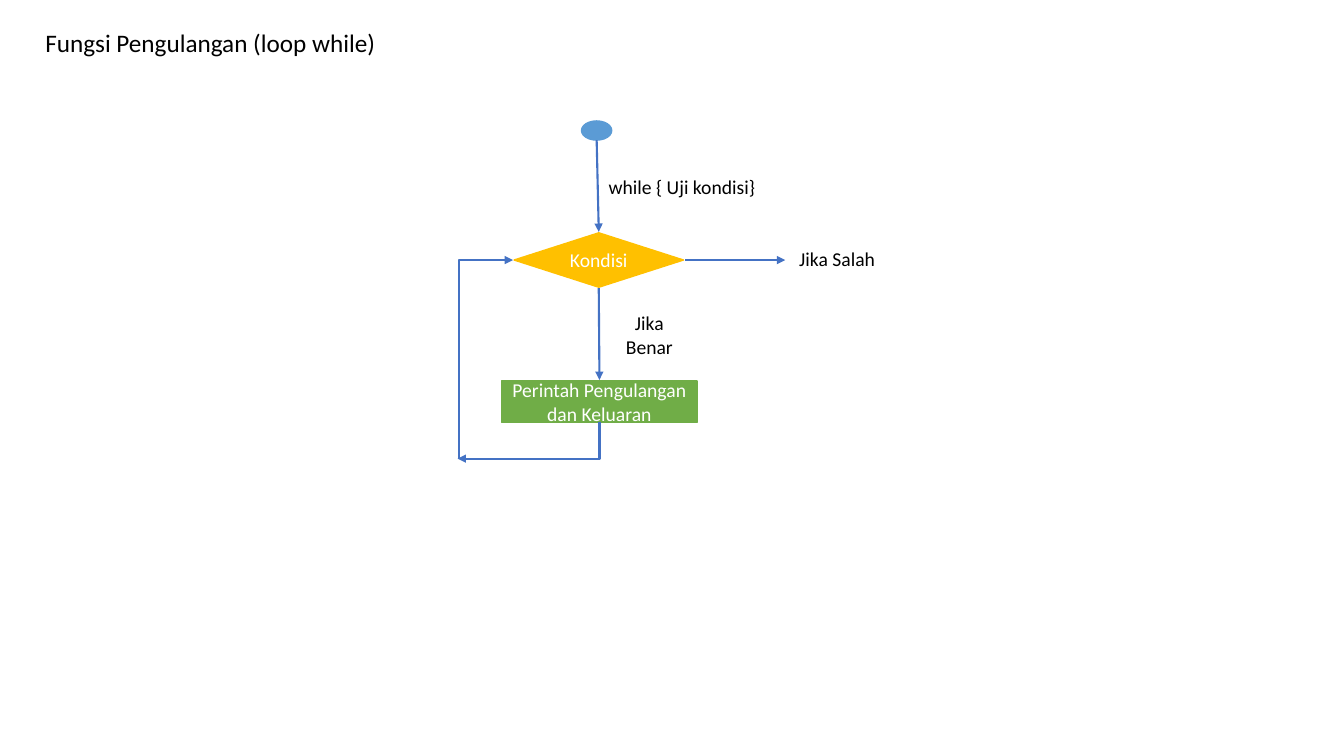
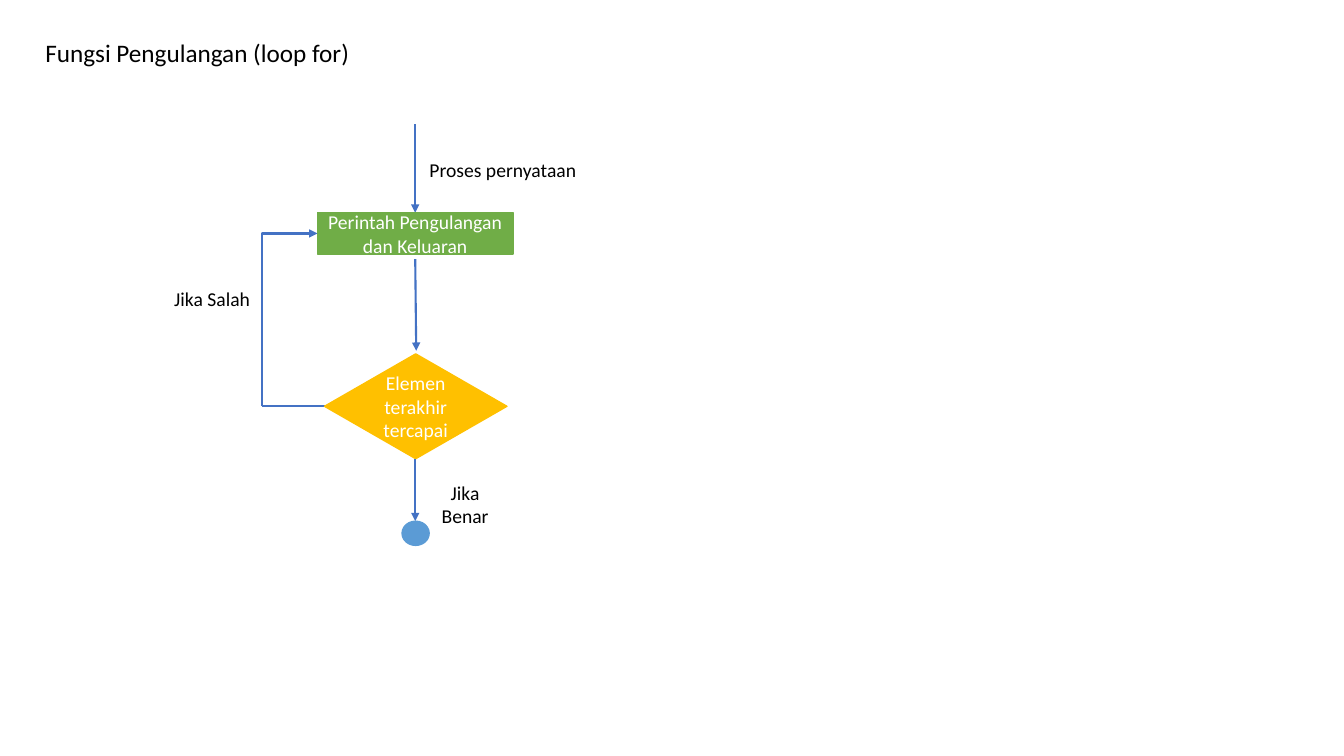
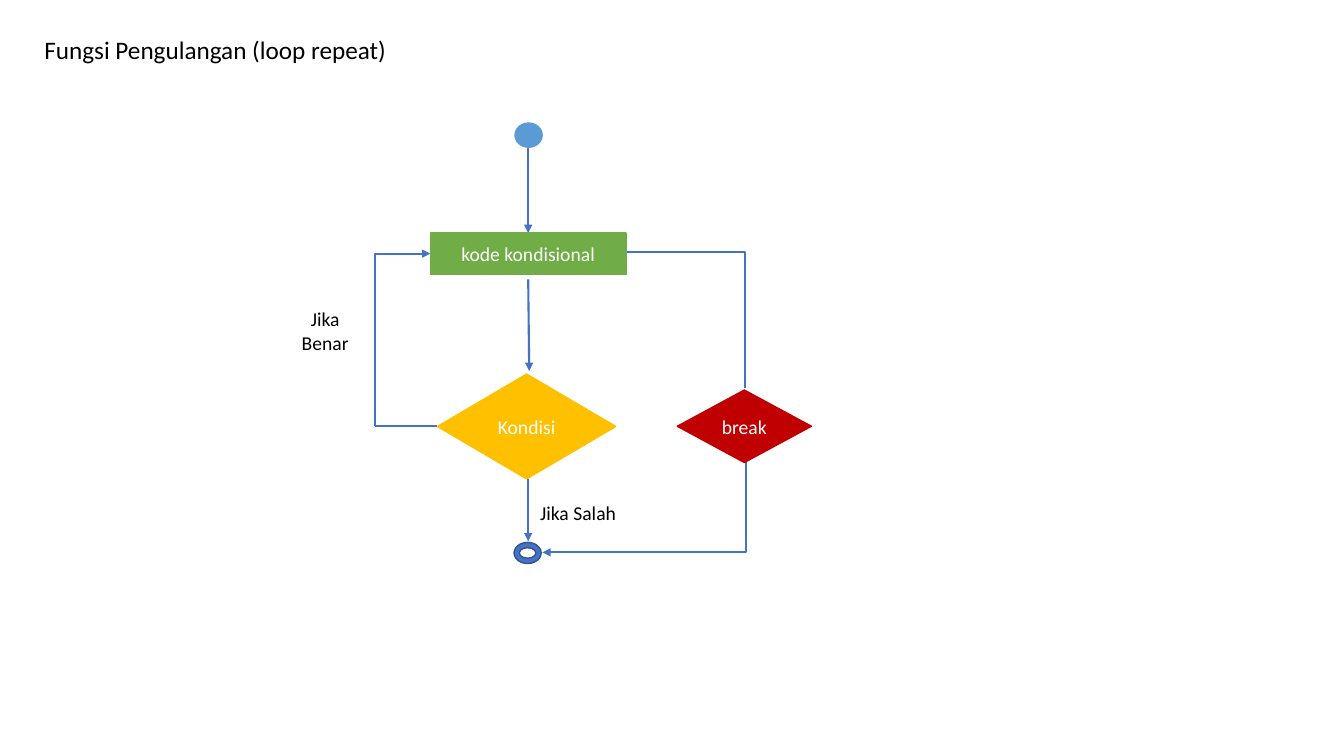
import pptx
import pptx.util
import pptx.dml.color
import pptx.enum.shapes
import pptx.enum.text
import pptx.oxml
import pptx.oxml.ns
import lxml.etree

Pt = pptx.util.Pt
SHAPE = pptx.enum.shapes.MSO_SHAPE
CONNECTOR = pptx.enum.shapes.MSO_CONNECTOR
ALIGN = pptx.enum.text.PP_ALIGN
ANCHOR = pptx.enum.text.MSO_ANCHOR

FONT = "Calibri"
BLACK, WHITE = "000000", "FFFFFF"
TERMINAL, PROCESS, DECISION, BREAK = "5B9BD5", "70AD47", "FFC000", "C00000"
FLOW, FLOW_DARK = "4472C4", "325491"
LABEL_WIDTH, LABEL_HEIGHT = 71.3, 24.5
PROCESS_WIDTH, PROCESS_HEIGHT = 139.7, 29.5


def color(hex_value):
    return pptx.dml.color.RGBColor.from_string(hex_value)


def write(shape, text, size, hex_value, alignment, anchor):
    frame = shape.text_frame
    frame.word_wrap = True
    frame.auto_size = pptx.enum.text.MSO_AUTO_SIZE.NONE
    frame.vertical_anchor = anchor
    frame.text = text
    paragraph = frame.paragraphs[0]
    paragraph.alignment = alignment
    for run in paragraph.runs:
        run.font.name = FONT
        run.font.size = Pt(size)
        run.font.color.rgb = color(hex_value)


def add_titled_slide(presentation, text, left, top, width):
    slide = presentation.slides.add_slide(presentation.slide_layouts[5])
    title = slide.shapes.title
    title.left, title.top, title.width, title.height = Pt(left), Pt(top), Pt(width), Pt(28.8)
    write(title, text, 18, BLACK, ALIGN.LEFT, ANCHOR.TOP)
    return slide


def add_node(slide, kind, left, top, width, height, fill, text="", outline=None):
    node = slide.shapes.add_shape(kind, Pt(left), Pt(top), Pt(width), Pt(height))
    node.shadow.inherit = False
    node.fill.solid()
    node.fill.fore_color.rgb = color(fill)
    node.line.color.rgb = color(outline or fill)
    node.line.width = Pt(1)
    if text:
        write(node, text, 14, WHITE, ALIGN.CENTER, ANCHOR.MIDDLE)


def add_process(slide, center, top, text):
    add_node(slide, SHAPE.RECTANGLE, center - PROCESS_WIDTH / 2, top,
             PROCESS_WIDTH, PROCESS_HEIGHT, PROCESS, text)


def add_label(slide, text, left, top, width=LABEL_WIDTH):
    label = slide.shapes.add_textbox(Pt(left), Pt(top), Pt(width), Pt(LABEL_HEIGHT))
    write(label, text, 14, BLACK, ALIGN.CENTER, ANCHOR.TOP)


def add_line(slide, start, end, arrow=True, kind=CONNECTOR.STRAIGHT):
    line = slide.shapes.add_connector(kind, Pt(start[0]), Pt(start[1]), Pt(end[0]), Pt(end[1]))
    line.line.color.rgb = color(FLOW)
    line.line.width = Pt(1.5)
    properties = line.element.spPr
    if arrow:
        outline = properties.find(pptx.oxml.ns.qn("a:ln"))
        lxml.etree.SubElement(outline, pptx.oxml.ns.qn("a:tailEnd"), type="triangle")
    lxml.etree.SubElement(properties, pptx.oxml.ns.qn("a:effectLst"))
    return properties


def add_corner(slide, start, end, vertical_first=True, arrow=True):
    if vertical_first:
        middle_x, middle_y = (start[0] + end[0]) / 2, (start[1] + end[1]) / 2
        half_x, half_y = (end[0] - start[0]) / 2, (end[1] - start[1]) / 2
        start = middle_x - half_y, middle_y + half_x
        end = middle_x + half_y, middle_y - half_x
    properties = add_line(slide, start, end, arrow, CONNECTOR.ELBOW)
    properties.find(pptx.oxml.ns.qn("a:prstGeom")).set("prst", "bentConnector2")
    if vertical_first:
        properties.find(pptx.oxml.ns.qn("a:xfrm")).set("rot", "5400000")


def add_loop(slide, center, top, process, condition, condition_width, return_label, exit_label):
    return_x = center - 109.4
    condition_left = center - 64.8
    condition_y = top + 201.6
    add_line(slide, (return_x, condition_y), (condition_left, condition_y), arrow=False)
    add_line(slide, (center, top), (center, top + 63.4))
    add_node(slide, SHAPE.DIAMOND, condition_left, top + 164.2, condition_width, 74.9, DECISION, condition)
    add_line(slide, (center, top + 96.5), (center + 0.7, top + 162))
    add_label(slide, exit_label, center, top + 251.3)
    add_process(slide, center, top + 63.4, process)
    add_label(slide, return_label, center - 180.7, top + 113)
    add_corner(slide, (return_x, condition_y), (center - PROCESS_WIDTH / 2, top + 78.2))
    add_line(slide, (center, top + 239), (center, top + 283.7))


def add_while_slide(presentation):
    slide = add_titled_slide(presentation, "Fungsi Pengulangan (loop while)", 25.2, 16.2, 252.7)
    add_node(slide, SHAPE.OVAL, 415.4, 86.4, 21.6, 13.7, TERMINAL)
    add_line(slide, (426.2, 100.1), (427.7, 165.6))
    add_node(slide, SHAPE.DIAMOND, 367.2, 166.3, 121, 38.9, DECISION, "Kondisi")
    add_line(slide, (427.7, 205.9), (428.2, 271.4))
    add_label(slide, "Jika Benar", 428.2, 218.9)
    add_label(slide, "while { Uji kondisi}", 414, 121.7, 146.2)
    add_process(slide, 428.2, 272.2, "Perintah Pengulangan dan Keluaran")
    add_line(slide, (489.6, 185.8), (560.9, 185.8))
    add_label(slide, "Jika Salah", 562.3, 172.8)
    add_corner(slide, (428.2, 301.7), (326.9, 327.6))
    add_corner(slide, (327.6, 327.6), (366.5, 185.8))


def add_for_slide(presentation):
    slide = add_titled_slide(presentation, "Fungsi Pengulangan (loop for)", 25.2, 23, 252.7)
    center, top = 296.6, 88.6
    add_loop(slide, center, top, "Perintah Pengulangan dan Keluaran",
             "Elemen terakhir tercapai", 130.3, "Jika Salah", "Jika Benar")
    add_label(slide, "Proses pernyataan", center, top + 20.9, 125.3)
    add_node(slide, SHAPE.OVAL, center - 9.4, top + 283.7, 19.4, 17.3, TERMINAL)


def add_repeat_slide(presentation):
    slide = add_titled_slide(presentation, "Fungsi Pengulangan (loop repeat)", 24.5, 20.9, 288)
    center, top = 377.3, 103
    add_corner(slide, (447.1, 180), (532.1, 277.2), vertical_first=False, arrow=False)
    add_corner(slide, (532.8, 329.8), (387.4, 394.6))
    add_node(slide, SHAPE.DONUT, center - 10.1, top + 284.4, 19.4, 15.1, FLOW, outline=FLOW_DARK)
    add_loop(slide, center, top, "kode kondisional", "Kondisi", 127.4, "Jika Benar", "Jika Salah")
    add_node(slide, SHAPE.OVAL, center - 9.4, top - 15.1, 19.4, 17.3, TERMINAL)
    add_node(slide, SHAPE.DIAMOND, 483.8, 278.6, 95.8, 51.8, BREAK, "break")


def main():
    presentation = pptx.Presentation()
    presentation.slide_width, presentation.slide_height = Pt(960), Pt(540)
    add_while_slide(presentation)
    add_for_slide(presentation)
    add_repeat_slide(presentation)
    presentation.save("out.pptx")


main()
